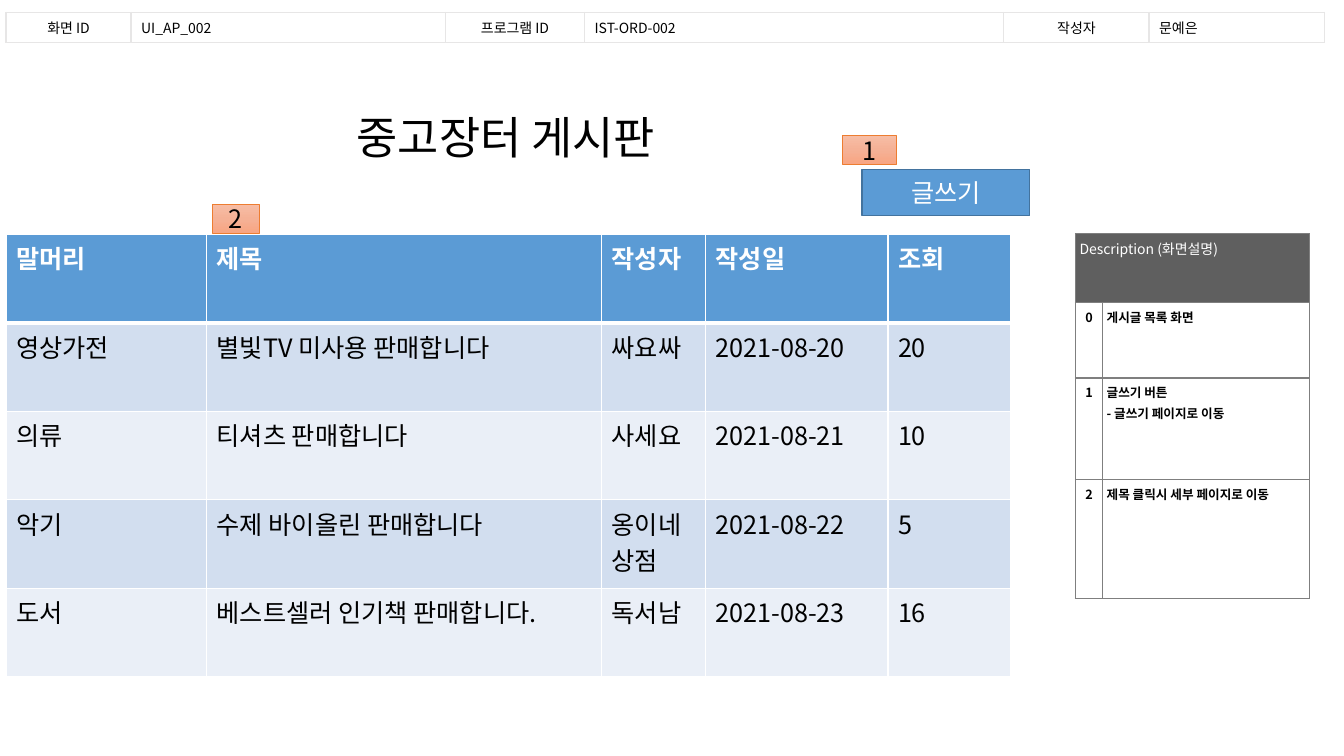
from copy import deepcopy
from dataclasses import dataclass
from typing import Any, NamedTuple

from lxml import etree
from pptx import Presentation
from pptx import util as u
from pptx.dml.color import RGBColor
from pptx.enum import shapes, text
from pptx.oxml import ns


@dataclass(frozen=True)
class Theme:
    font: str = "Noto Sans CJK KR"
    black: str = "000000"
    white: str = "FFFFFF"
    blue: str = "5B9BD5"
    blue_edge: str = "43739E"
    bands: tuple[str, str] = ("D2DEEF", "EAEFF7")
    orange_edge: str = "ED7D31"
    orange_stops: tuple[str, ...] = ("F7BDA5", "F5B196", "F8A582")
    pale_rule: str = "E7E6E6"
    gray_rule: str = "7F7F7F"
    gray_head: str = "5F5F5F"
    title_size: float = 32
    body_size: float = 18
    info_size: float = 10
    note_size: float = 9


class Box(NamedTuple):
    left: float
    top: float
    width: float
    height: float


class Style(NamedTuple):
    size: float
    color: str
    bold: bool = False
    align: Any = text.PP_ALIGN.LEFT
    before: int = 0


class CellLook(NamedTuple):
    style: Style
    fill: str
    rule: str
    rule_widths: tuple[float, float, float, float] = (1, 1, 1, 1)
    side: float = 7.2
    anchor: Any = text.MSO_ANCHOR.TOP


THEME = Theme()
CENTER = text.PP_ALIGN.CENTER
MIDDLE = text.MSO_ANCHOR.MIDDLE


def rgb(value: str) -> RGBColor:
    return RGBColor.from_string(value)


def assign(target: Any, values: dict[str, Any]) -> None:
    for key, value in values.items():
        setattr(target, key, value)


def write(frame: Any, content: str, style: Style) -> None:
    frame.text = content
    for paragraph in frame.paragraphs:
        paragraph.alignment = style.align
        if style.before:
            spacing = etree.SubElement(paragraph._p.get_or_add_pPr(), ns.qn("a:spcBef"))
            etree.SubElement(spacing, ns.qn("a:spcPct"), val=str(style.before * 1000))
        for run in paragraph.runs:
            assign(run.font, {"size": u.Pt(style.size), "bold": style.bold, "name": THEME.font})
            run.font.color.rgb = rgb(style.color)
            etree.SubElement(run._r.get_or_add_rPr(), ns.qn("a:ea"), typeface=THEME.font)


def add_box(slide: Any, box: Box, label: str, color: str, edge: str, edge_width: float) -> Any:
    shape = slide.shapes.add_shape(shapes.MSO_SHAPE.RECTANGLE, *map(u.Pt, box))
    shape.shadow.inherit = False
    shape.line.color.rgb = rgb(edge)
    shape.line.width = u.Pt(edge_width)
    shape.text_frame.vertical_anchor = MIDDLE
    write(shape.text_frame, label, Style(THEME.body_size, color, align=CENTER))
    return shape


def add_marker(slide: Any, box: Box, label: str) -> None:
    marker = add_box(slide, box, label, THEME.black, THEME.orange_edge, 0.5)
    marker.fill.gradient()
    marker.fill.gradient_angle = 270
    stops = marker._element.spPr.find(".//" + ns.qn("a:gsLst"))
    stops.insert(1, deepcopy(stops[0]))
    for index, (stop, color) in enumerate(zip(marker.fill.gradient_stops, THEME.orange_stops)):
        stop.position = index / 2
        stop.color.rgb = rgb(color)


def fill_cell(cell: Any, content: str, look: CellLook) -> None:
    assign(cell, {
        "margin_left": u.Pt(look.side), "margin_right": u.Pt(look.side),
        "margin_top": u.Pt(3.6), "margin_bottom": u.Pt(3.6),
        "vertical_anchor": look.anchor,
    })
    write(cell.text_frame, content, look.style)
    cell.fill.solid()
    cell.fill.fore_color.rgb = rgb(look.fill)
    properties = cell._tc.get_or_add_tcPr()
    for index, (edge, width) in enumerate(zip("LRTB", look.rule_widths)):
        rule = etree.Element(ns.qn(f"a:ln{edge}"), w=str(u.Pt(width)))
        paint = etree.SubElement(rule, ns.qn("a:solidFill"))
        etree.SubElement(paint, ns.qn("a:srgbClr"), val=look.rule)
        properties.insert(index, rule)


def add_grid(slide: Any, left: float, top: float, widths: list[float], heights: list[float],
             rows: list[tuple[str, ...]], look_at: Any) -> Any:
    box = Box(left, top, sum(widths), sum(heights))
    table = slide.shapes.add_table(len(heights), len(widths), *map(u.Pt, box)).table
    assign(table, {"first_row": False, "horz_banding": False})
    for column, width in zip(table.columns, widths):
        column.width = u.Pt(width)
    for r, (row, height) in enumerate(zip(rows, heights)):
        table.rows[r].height = u.Pt(height)
        for c, content in enumerate(row):
            fill_cell(table.cell(r, c), content, look_at(r, c))
    return table


def info_look(row: int, column: int) -> CellLook:
    align = text.PP_ALIGN.LEFT if column % 2 else CENTER
    style = Style(THEME.info_size, THEME.black, align=align, before=40)
    return CellLook(style, THEME.white, THEME.pale_rule, anchor=MIDDLE)


def post_look(row: int, column: int) -> CellLook:
    if row == 0:
        return CellLook(Style(THEME.body_size, THEME.white, True), THEME.blue, THEME.white, (1, 1, 1, 3))
    top = 3 if row == 1 else 1
    return CellLook(Style(THEME.body_size, THEME.black), THEME.bands[(row - 1) % 2],
                    THEME.white, (1, 1, top, 1))


def note_look(row: int, column: int) -> CellLook:
    if row == 0:
        style, fill = Style(THEME.info_size, THEME.white, before=20), THEME.gray_head
    else:
        align = text.PP_ALIGN.LEFT if column else CENTER
        before = 40 if (row, column) == (1, 1) else 20
        style, fill = Style(THEME.note_size, THEME.black, True, align, before), THEME.white
    return CellLook(style, fill, THEME.gray_rule, side=2.9)


INFO = [("화면 ID", "UI_AP_002", "프로그램 ID", "IST-ORD-002", "작성자", "문예은")]
POSTS = [
    ("말머리", "제목", "작성자", "작성일", "조회"),
    ("영상가전", "별빛TV 미사용 판매합니다", "싸요싸", "2021-08-20", "20"),
    ("의류", "티셔츠 판매합니다", "사세요", "2021-08-21", "10"),
    ("악기", "수제 바이올린 판매합니다", "옹이네 상점", "2021-08-22", "5"),
    ("도서", "베스트셀러 인기책 판매합니다.", "독서남", "2021-08-23", "16"),
]
NOTES = [
    ("Description (화면설명)", ""),
    ("0", "게시글 목록 화면"),
    ("1", "글쓰기 버튼\n- 글쓰기 페이지로 이동"),
    ("2", "제목 클릭시 세부 페이지로 이동"),
]
MARKERS = {"1": Box(601.9, 97, 38.2, 20.2), "2": Box(151.9, 146.2, 33.1, 20.2)}

deck = Presentation()
assign(deck, {"slide_width": u.Pt(960), "slide_height": u.Pt(540)})
board = deck.slides.add_slide(deck.slide_layouts[5])

heading = board.shapes.title
assign(heading, dict(zip(Box._fields, map(u.Pt, Box(41.8, 74.9, 639.4, 46.1)))))
assign(heading.text_frame, {
    "word_wrap": True, "auto_size": text.MSO_AUTO_SIZE.NONE, "vertical_anchor": text.MSO_ANCHOR.TOP,
})
write(heading.text_frame, "중고장터 게시판", Style(THEME.title_size, THEME.black, align=CENTER))

write_button = add_box(board, Box(615.6, 121, 120, 33.1), "글쓰기", THEME.white, THEME.blue_edge, 1)
write_button.fill.solid()
write_button.fill.fore_color.rgb = rgb(THEME.blue)
for number, place in MARKERS.items():
    add_marker(board, place, number)

add_grid(board, 4.3, 8.9, [89.3, 224.6, 99.4, 299.5, 103.7, 125.3], [20.9], INFO, info_look)
add_grid(board, 4.3, 167.4, [143.3, 282.2, 74.2, 130.3, 87.8], [63.2] * 5, POSTS, post_look)
notes = add_grid(board, 768.2, 167, [19.4, 147.6], [49, 54, 72.7, 85], NOTES, note_look)
notes.cell(0, 0).merge(notes.cell(0, 1))

deck.save("out.pptx")
